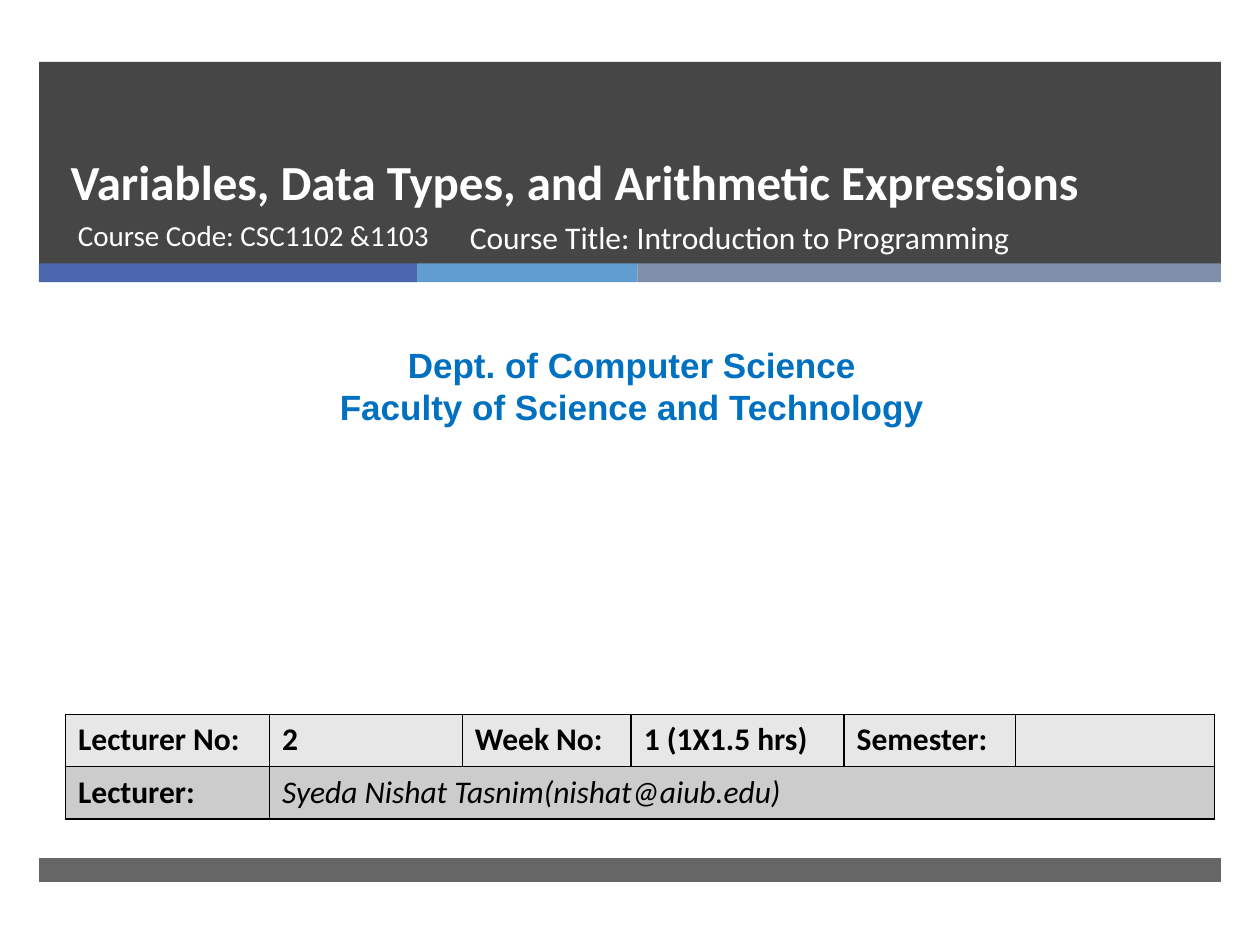
import pptx
import pptx.dml.color
import pptx.enum.shapes
import pptx.enum.text
import pptx.oxml
import pptx.oxml.ns
import pptx.util

Inches = pptx.util.Inches
Pt = pptx.util.Pt
ALIGN = pptx.enum.text.PP_ALIGN
ANCHOR = pptx.enum.text.MSO_ANCHOR

COLORS = {
    "band": "262626", "blue": "4A66AC", "sky": "629DD1", "slate": "7F8FA9",
    "white": "FFFFFF", "black": "000000", "department": "0070C0",
    "light_row": "E7E7E7", "dark_row": "CCCCCC",
}


def rgb(name):
    return pptx.dml.color.RGBColor.from_string(COLORS[name])


class CoverSlide:
    """Holds the slide and its text style, and draws each kind of element."""

    font_name = "Calibri"

    def __init__(self, presentation):
        self.slide = presentation.slides.add_slide(presentation.slide_layouts[5])

    def style(self, paragraph, size, color, bold=False, italic=False, font=None):
        paragraph.font.name = font or self.font_name
        paragraph.font.size = Pt(size)
        paragraph.font.bold = bold
        paragraph.font.italic = italic
        paragraph.font.color.rgb = rgb(color)

    def bar(self, left, top, width, height, color, opacity=100):
        bar = self.slide.shapes.add_shape(
            pptx.enum.shapes.MSO_SHAPE.RECTANGLE,
            Inches(left), Inches(top), Inches(width), Inches(height))
        bar.shadow.inherit = False
        bar.line.fill.background()
        bar.fill.solid()
        bar.fill.fore_color.rgb = rgb(color)
        if opacity < 100:
            srgb = bar._element.spPr.find(".//" + pptx.oxml.ns.qn("a:srgbClr"))
            srgb.append(pptx.oxml.parse_xml(
                f'<a:alpha {pptx.oxml.ns.nsdecls("a")} val="{opacity * 1000}"/>'))

    def title(self, text, left, top, width, height):
        title = self.slide.shapes.title
        title.left, title.top = Inches(left), Inches(top)
        title.width, title.height = Inches(width), Inches(height)
        frame = title.text_frame
        frame.text = text
        frame.auto_size = pptx.enum.text.MSO_AUTO_SIZE.NONE
        frame.vertical_anchor = ANCHOR.BOTTOM
        paragraph = frame.paragraphs[0]
        paragraph.alignment = ALIGN.LEFT
        paragraph.line_spacing = Pt(46)
        self.style(paragraph, 28, "white", bold=True)
        # The title belongs in front of the dark band.
        self.slide.shapes._spTree.append(title._element)

    def text(self, lines, left, top, width, height, size, color,
             align=ALIGN.LEFT, **font):
        box = self.slide.shapes.add_textbox(
            Inches(left), Inches(top), Inches(width), Inches(height))
        box.text_frame.word_wrap = True
        box.text_frame.text = "\n".join(lines)
        for paragraph in box.text_frame.paragraphs:
            paragraph.alignment = align
            self.style(paragraph, size, color, **font)

    def borders(self, cell):
        properties = cell._tc.get_or_add_tcPr()
        for side in ("lnL", "lnR", "lnT", "lnB"):
            properties.append(pptx.oxml.parse_xml(
                f'<a:{side} {pptx.oxml.ns.nsdecls("a")} w="12700"><a:solidFill>'
                f'<a:srgbClr val="{COLORS["black"]}"/></a:solidFill></a:{side}>'))

    def table(self, rows, row_fills, left, top, column_widths, row_height):
        table = self.slide.shapes.add_table(
            len(rows), len(column_widths), Inches(left), Inches(top),
            Inches(sum(column_widths)), Inches(row_height * len(rows))).table
        table.first_row = table.horz_banding = False
        for column, width in zip(table.columns, column_widths):
            column.width = Inches(width)
        for r, (values, fill) in enumerate(zip(rows, row_fills)):
            table.rows[r].height = Inches(row_height)
            for c, value in enumerate(values):
                cell = table.cell(r, c)
                self.borders(cell)
                cell.fill.solid()
                cell.fill.fore_color.rgb = rgb(fill)
                cell.text = value
                is_lecturer = r == 1 and c == 1
                self.style(cell.text_frame.paragraphs[0], 18, "black",
                           bold=not is_lecturer, italic=is_lecturer)
        return table


def main():
    presentation = pptx.Presentation()
    presentation.slide_width, presentation.slide_height = Inches(10), Inches(7.5)
    cover = CoverSlide(presentation)

    margin, band_width = 0.31, 9.38
    cover.bar(margin, 0.49, band_width, 1.61, "band", opacity=85)
    stripe_left = margin
    for width, color in ((3, "blue"), (1.75, "sky"), (4.63, "slate")):
        cover.bar(stripe_left, 2.09, width, 0.15, color)
        stripe_left += width
    cover.bar(margin, 6.81, band_width, 0.19, "band", opacity=70)

    cover.title("Variables, Data Types, and Arithmetic Expressions",
                0.46, 0.53, 8.54, 1.19)
    cover.text(["Course Code: CSC1102 &1103"], 0.52, 1.68, 3.21, 0.53, 16.6, "white")
    cover.text(["Dept. of Computer Science", "Faculty of Science and Technology"],
               0.08, 2.68, 9.87, 0.77, 20, "department",
               align=ALIGN.CENTER, bold=True, font="Arial")

    lecture = cover.table(
        [["Lecturer No:", "2", "Week No:", "1 (1X1.5 hrs)", "Semester:", ""],
         ["Lecturer:", "Syeda Nishat Tasnim(nishat@aiub.edu)", "", "", "", ""]],
        ["light_row", "dark_row"], 0.52, 5.67,
        [1.62, 1.53, 1.34, 1.69, 1.36, 1.58], 0.415)
    lecture.cell(1, 1).merge(lecture.cell(1, 5))

    cover.text(["Course Title: Introduction to Programming"],
               3.63, 1.68, 4.55, 0.53, 18, "white")
    presentation.save("out.pptx")


if __name__ == "__main__":
    main()
